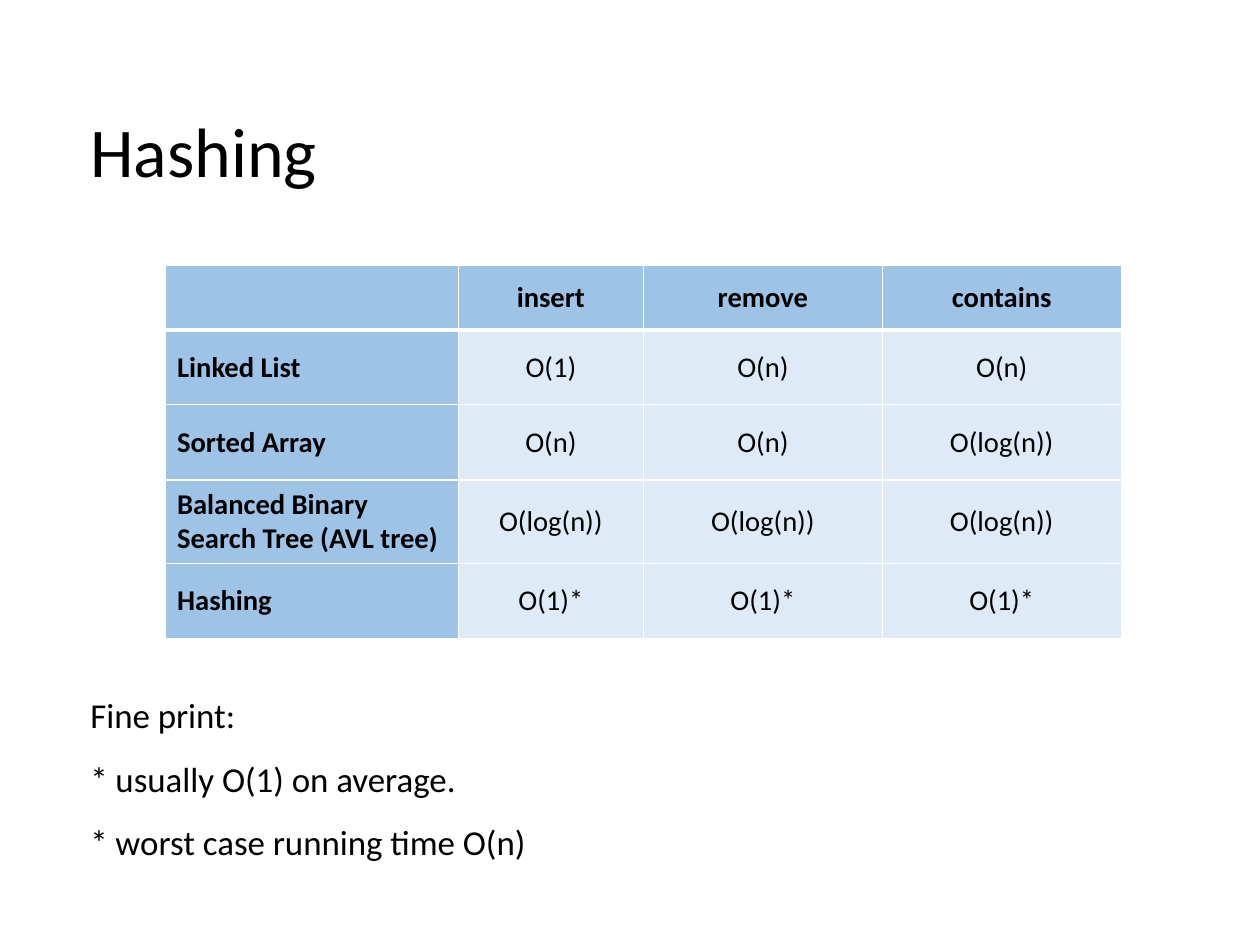
import pptx
import pptx.util
import pptx.dml.color
import pptx.enum.text
import pptx.oxml
import pptx.oxml.ns
from lxml import etree

Inches, Pt, Cm = pptx.util.Inches, pptx.util.Pt, pptx.util.Cm
ALIGN = pptx.enum.text.PP_ALIGN
MIDDLE = pptx.enum.text.MSO_ANCHOR.MIDDLE

# Content
TITLE = "Hashing"
ROWS = [
    ("", "insert", "remove", "contains"),
    ("Linked List", "O(1)", "O(n)", "O(n)"),
    ("Sorted Array", "O(n)", "O(n)", "O(log(n))"),
    ("Balanced Binary Search Tree (AVL tree)",
     "O(log(n))", "O(log(n))", "O(log(n))"),
    ("Hashing", "O(1)*", "O(1)*", "O(1)*"),
]
NOTES = ["Fine print:", "* usually O(1) on average.",
         "* worst case running time O(n)"]
WIDTHS = [2.56, 1.62, 2.09, 2.09]
HEIGHTS = [0.57, 0.65, 0.66, 0.73, 0.66]
COLORS = {"text": "000000", "head": "9DC3E6", "body": "DEEBF7",
          "line": "FFFFFF"}
FONT = "Calibri"


def rgb(name):
    return pptx.dml.color.RGBColor.from_string(COLORS[name])


def write(para, text, size, bold=False, align=ALIGN.LEFT):
    para.alignment = align
    run = para.add_run()
    run.text = text
    run.font.name = FONT
    run.font.size = Pt(size)
    run.font.bold = bold
    run.font.color.rgb = rgb("text")


def setup(frame):
    frame.word_wrap = True
    frame.auto_size = pptx.enum.text.MSO_AUTO_SIZE.NONE
    frame.margin_left = frame.margin_right = 0
    frame.margin_top = frame.margin_bottom = 0


def border(side, width):
    qn = pptx.oxml.ns.qn
    line = etree.Element(qn("a:" + side), w=str(Pt(width)))
    fill = etree.SubElement(line, qn("a:solidFill"))
    etree.SubElement(fill, qn("a:srgbClr"), val=COLORS["line"])
    return line


# Slide of 28 by 21 cm
deck = pptx.Presentation()
deck.slide_width, deck.slide_height = Cm(28), Cm(21)
slide = deck.slides.add_slide(deck.slide_layouts[5])

# Title
title = slide.shapes.title
title.left, title.top = Inches(0.79), Inches(0.75)
title.width, title.height = Inches(9.25), Inches(1.12)
setup(title.text_frame)
title.text_frame.vertical_anchor = MIDDLE
write(title.text_frame.paragraphs[0], TITLE, 44)

# Running time table
table = slide.shapes.add_table(
    len(ROWS), len(WIDTHS), Inches(1.45), Inches(2.32),
    Inches(sum(WIDTHS)), Inches(sum(HEIGHTS))).table
for col, width in zip(table.columns, WIDTHS):
    col.width = Inches(width)
for row, height in zip(table.rows, HEIGHTS):
    row.height = Inches(height)

for r, row in enumerate(ROWS):
    for c, text in enumerate(row):
        cell = table.cell(r, c)
        head = r == 0 or c == 0
        cell.vertical_anchor = MIDDLE
        if text:
            write(cell.text_frame.paragraphs[0], text, 18, head,
                  ALIGN.CENTER if c else ALIGN.LEFT)
        cell.fill.solid()
        cell.fill.fore_color.rgb = rgb("head" if head else "body")
        # Thick rule under the header row
        sides = {"lnL": 1, "lnR": 1, "lnT": 3 if r == 1 else 1,
                 "lnB": 3 if r == 0 else 1}
        props = cell._tc.get_or_add_tcPr()
        for spot, (side, width) in enumerate(sides.items()):
            props.insert(spot, border(side, width))

# Fine print
box = slide.shapes.add_textbox(Inches(0.79), Inches(6.07),
                               Inches(9.68), Inches(1.6))
frame = box.text_frame
setup(frame)
for i, note in enumerate(NOTES):
    para = frame.add_paragraph() if i else frame.paragraphs[0]
    para.space_after = Pt(13.7)
    write(para, note, 22)

deck.save("out.pptx")
